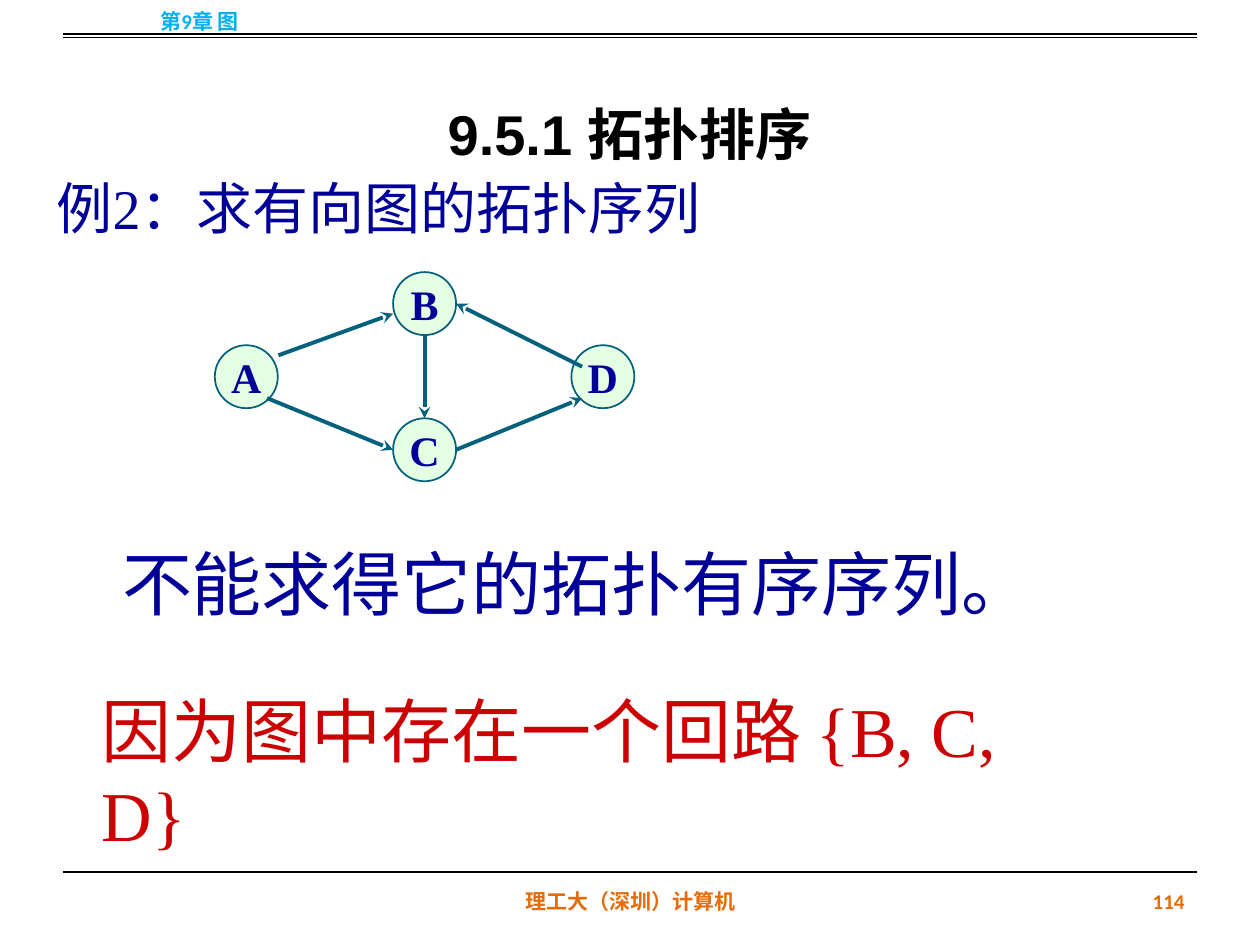
import pptx
import pptx.dml.color
import pptx.enum.shapes
import pptx.enum.text
import pptx.oxml.ns
import pptx.util
from lxml import etree

COLORS = {
    "black": "000000",
    "chapter": "00B0F0",
    "footer": "E46C0A",
    "navy": "000099",
    "red": "CC0000",
    "teal": "04617B",
    "mint": "CCFFCC",
}
COLUMNS, ROWS = 100, 75
NODE_SIZE = 5
SERIF = "Times New Roman"
ALIGN = pptx.enum.text.PP_ALIGN
ANCHOR = pptx.enum.text.MSO_ANCHOR


class SlideBuilder:
    """Draws styled elements on one slide, placed by grid columns and rows."""

    def __init__(self, presentation):
        self.slide = presentation.slides.add_slide(presentation.slide_layouts[6])
        self.column = presentation.slide_width / COLUMNS
        self.row = presentation.slide_height / ROWS

    def place(self, *cells):
        units = (self.column, self.row) * 2
        return [round(cell * unit) for cell, unit in zip(cells, units)]

    def color(self, name):
        return pptx.dml.color.RGBColor.from_string(COLORS[name])

    def set_text(self, shape, text, size, font, color, bold, align, anchor):
        frame = shape.text_frame
        frame.vertical_anchor = anchor
        paragraph = frame.paragraphs[0]
        paragraph.text = text
        paragraph.alignment = align
        paragraph.font.size = pptx.util.Pt(size)
        paragraph.font.name = font
        paragraph.font.bold = bold
        paragraph.font.color.rgb = self.color(color)
        return paragraph

    def text(self, box, text, size, font, color, bold=False,
             align=ALIGN.LEFT, anchor=ANCHOR.TOP):
        shape = self.slide.shapes.add_textbox(*self.place(*box))
        shape.text_frame.word_wrap = True
        return self.set_text(shape, text, size, font, color, bold, align, anchor)

    def line(self, start, end, color="black", width=0.75, arrow=False):
        connector = self.slide.shapes.add_connector(
            pptx.enum.shapes.MSO_CONNECTOR.STRAIGHT, *self.place(*start, *end))
        connector.line.color.rgb = self.color(color)
        connector.line.width = pptx.util.Pt(width)
        properties = connector._element.spPr
        if arrow:
            outline = properties.find(pptx.oxml.ns.qn("a:ln"))
            etree.SubElement(outline, pptx.oxml.ns.qn("a:tailEnd"), type="stealth")
        etree.SubElement(properties, pptx.oxml.ns.qn("a:effectLst"))

    def node(self, label, x, y):
        shape = self.slide.shapes.add_shape(
            pptx.enum.shapes.MSO_SHAPE.OVAL,
            *self.place(x - NODE_SIZE / 2, y - NODE_SIZE / 2, NODE_SIZE, NODE_SIZE))
        shape.shadow.inherit = False
        shape.fill.solid()
        shape.fill.fore_color.rgb = self.color("mint")
        fill_color = shape._element.spPr.find(".//" + pptx.oxml.ns.qn("a:srgbClr"))
        etree.SubElement(fill_color, pptx.oxml.ns.qn("a:alpha"), val="50000")
        shape.line.color.rgb = self.color("teal")
        shape.line.width = pptx.util.Pt(1)
        shape.text_frame.word_wrap = False
        self.set_text(shape, label, 24, SERIF, "navy", True, ALIGN.CENTER, ANCHOR.MIDDLE)


def main():
    presentation = pptx.Presentation()
    presentation.slide_width = pptx.util.Inches(10)
    presentation.slide_height = pptx.util.Inches(7.5)
    builder = SlideBuilder(presentation)

    title = builder.text((5, 3, 90, 12.5), "9.5.1 拓扑排序", 32, "Arial", "black",
                         True, ALIGN.CENTER, ANCHOR.MIDDLE)
    title.line_spacing = 1.5
    title.space_before = title.space_after = pptx.util.Pt(1.6)

    for box, text, color, align in (
        ((34.2, 69.5, 31.7, 4), "理工大（深圳）计算机", "footer", ALIGN.CENTER),
        ((71.7, 69.5, 23.3, 4), "114", "footer", ALIGN.RIGHT),
        ((0, -0.3, 31.7, 4), "第9章 图", "chapter", ALIGN.CENTER),
    ):
        builder.text(box, text, 12, "Calibri", color, True, align, ANCHOR.MIDDLE)

    for y in (3, 2.7, 69.2):
        builder.line((5, y), (95, y))

    center_x, center_y, reach_x, reach_y = 33.7, 29.9, 14.15, 5.8
    for label, across, down in (("B", 0, -1), ("D", 1, 0), ("A", -1, 0), ("C", 0, 1)):
        builder.node(label, center_x + across * reach_x, center_y + down * reach_y)

    for start, end in (
        ((22.1, 28.2), (31.2, 24.9)),
        ((21.2, 31.6), (31.2, 35.7)),
        ((36.2, 35.7), (46.2, 31.6)),
        ((46.2, 29.1), (36.2, 24.1)),
        ((33.7, 26.6), (33.7, 33.2)),
    ):
        builder.line(start, end, "teal", 2.25, arrow=True)

    for box, text, size, color in (
        ((8.7, 42.4, 74.2, 7.7), "不能求得它的拓扑有序序列。", 40, "navy"),
        ((7.1, 54.1, 80, 7.7), "因为图中存在一个回路 {B, C, D}", 40, "red"),
        ((3.5, 13.3, 53.6, 6.4), "例2：求有向图的拓扑序列", 32, "navy"),
    ):
        builder.text(box, text, size, SERIF, color)

    presentation.save("out.pptx")


if __name__ == "__main__":
    main()
